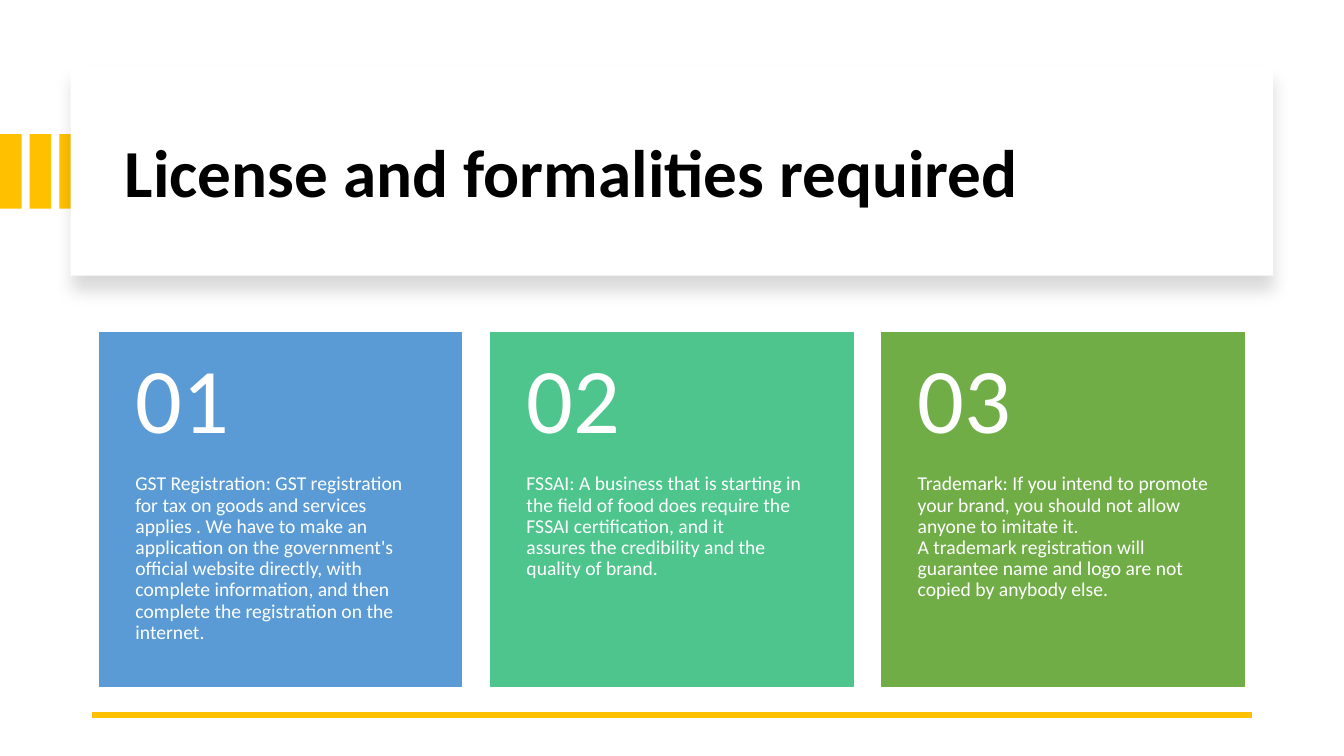
from lxml.etree import SubElement
from pptx import Presentation
from pptx.dml.color import RGBColor
from pptx.enum.shapes import MSO_CONNECTOR as Connector, MSO_SHAPE as Shape
from pptx.enum.text import MSO_ANCHOR as Anchor, PP_ALIGN as Align
from pptx.oxml.ns import qn
from pptx.util import Pt

FONT = "Calibri"
WHITE = RGBColor(0xFF, 0xFF, 0xFF)
BLACK = RGBColor(0, 0, 0)
GOLD = RGBColor(0xFF, 0xC0, 0)
BLUE = RGBColor(0x5B, 0x9B, 0xD5)
MINT = RGBColor(0x4D, 0xC5, 0x8D)
GREEN = RGBColor(0x70, 0xAD, 0x47)

CARD_LEFT, CARD_TOP, CARD_PITCH = 71.2, 237.4, 279.4
CARD_WIDTH, NUMBER_HEIGHT, DETAIL_HEIGHT = 258.7, 101.2, 152

REQUIREMENTS = [
    ("01", BLUE,
     "GST Registration: GST registration for tax on goods and services applies . "
     "We have to make an\napplication on the government's official website directly, "
     "with complete information, and then\ncomplete the registration on the internet."),
    ("02", MINT,
     "FSSAI: A business that is starting in the field of food does require the "
     "FSSAI certification, and it\nassures the credibility and the quality of brand."),
    ("03", GREEN,
     "Trademark: If you intend to promote your brand, you should not allow anyone "
     "to imitate it.\nA trademark registration will guarantee name and logo are not "
     "copied by anybody else."),
]


def add_block(shapes, left, top, width, height, color):
    block = shapes.add_shape(Shape.RECTANGLE, Pt(left), Pt(top), Pt(width), Pt(height))
    block.shadow.inherit = False
    block.fill.solid()
    block.fill.fore_color.rgb = color
    block.line.fill.background()
    return block


def add_soft_shadow(panel):
    effects = panel._element.spPr.find(qn("a:effectLst"))
    shadow = SubElement(effects, qn("a:outerShdw"), blurRad=str(Pt(11)),
                        dist=str(Pt(10)), dir="5400000", algn="t", rotWithShape="0")
    tint = SubElement(shadow, qn("a:srgbClr"), val="000000")
    SubElement(tint, qn("a:alpha"), val="15000")


def write(frame, wording, size, color, bold=False):
    frame.word_wrap = True
    paragraph = frame.paragraphs[0]
    paragraph.text = wording
    paragraph.alignment = Align.LEFT
    paragraph.line_spacing = 0.9
    for run in paragraph.runs:
        run.font.name = FONT
        run.font.size = Pt(size)
        run.font.bold = bold
        run.font.color.rgb = color
    for line_break in paragraph._p.findall(qn("a:br")):
        SubElement(line_break, qn("a:rPr"), sz=str(size * 100))


def add_card_text(shapes, left, top, height, wording, size, anchor, above, below):
    box = shapes.add_textbox(Pt(left), Pt(top), Pt(CARD_WIDTH), Pt(height))
    frame = box.text_frame
    frame.margin_left = frame.margin_right = Pt(25.5)
    frame.margin_top, frame.margin_bottom = Pt(above), Pt(below)
    frame.vertical_anchor = anchor
    write(frame, wording, size, WHITE)


def add_card(shapes, left, number, color, detail):
    card = add_block(shapes, left, CARD_TOP, CARD_WIDTH, NUMBER_HEIGHT + DETAIL_HEIGHT, color)
    card.line.color.rgb = color
    card.line.width = Pt(1)
    add_card_text(shapes, left, CARD_TOP + NUMBER_HEIGHT, DETAIL_HEIGHT,
                  detail, 14, Anchor.TOP, 0, 26)
    add_card_text(shapes, left, CARD_TOP, NUMBER_HEIGHT, number, 66, Anchor.MIDDLE, 13, 13)


def add_stripes(slide):
    stripes = slide.shapes.add_group_shape().shapes
    for position in range(3):
        add_block(stripes, position * 21.2, 95.8, 15.4, 53.2, GOLD)


def add_heading(slide):
    panel = add_block(slide.shapes, 50.4, 48, 859, 149, WHITE)
    add_soft_shadow(panel)
    title = slide.shapes.title
    title.left, title.top, title.width, title.height = Pt(82), Pt(64), Pt(801.5), Pt(122.4)
    title.text_frame.vertical_anchor = Anchor.MIDDLE
    write(title.text_frame, "License and formalities required", 48, BLACK, bold=True)
    panel._element.addnext(title._element)


def add_base_rule(slide):
    rule = slide.shapes.add_connector(Connector.STRAIGHT, Pt(894), Pt(510.6), Pt(66), Pt(510.6))
    rule.line.color.rgb = GOLD
    rule.line.width = Pt(4.5)
    SubElement(rule._element.spPr, qn("a:effectLst"))


def main():
    deck = Presentation()
    deck.slide_width, deck.slide_height = Pt(960), Pt(540)
    slide = deck.slides.add_slide(deck.slide_layouts[5])
    add_stripes(slide)
    add_heading(slide)
    add_base_rule(slide)
    cards = slide.shapes.add_group_shape().shapes
    for position, (number, color, detail) in enumerate(REQUIREMENTS):
        add_card(cards, CARD_LEFT + position * CARD_PITCH, number, color, detail)
    deck.save("out.pptx")


if __name__ == "__main__":
    main()
